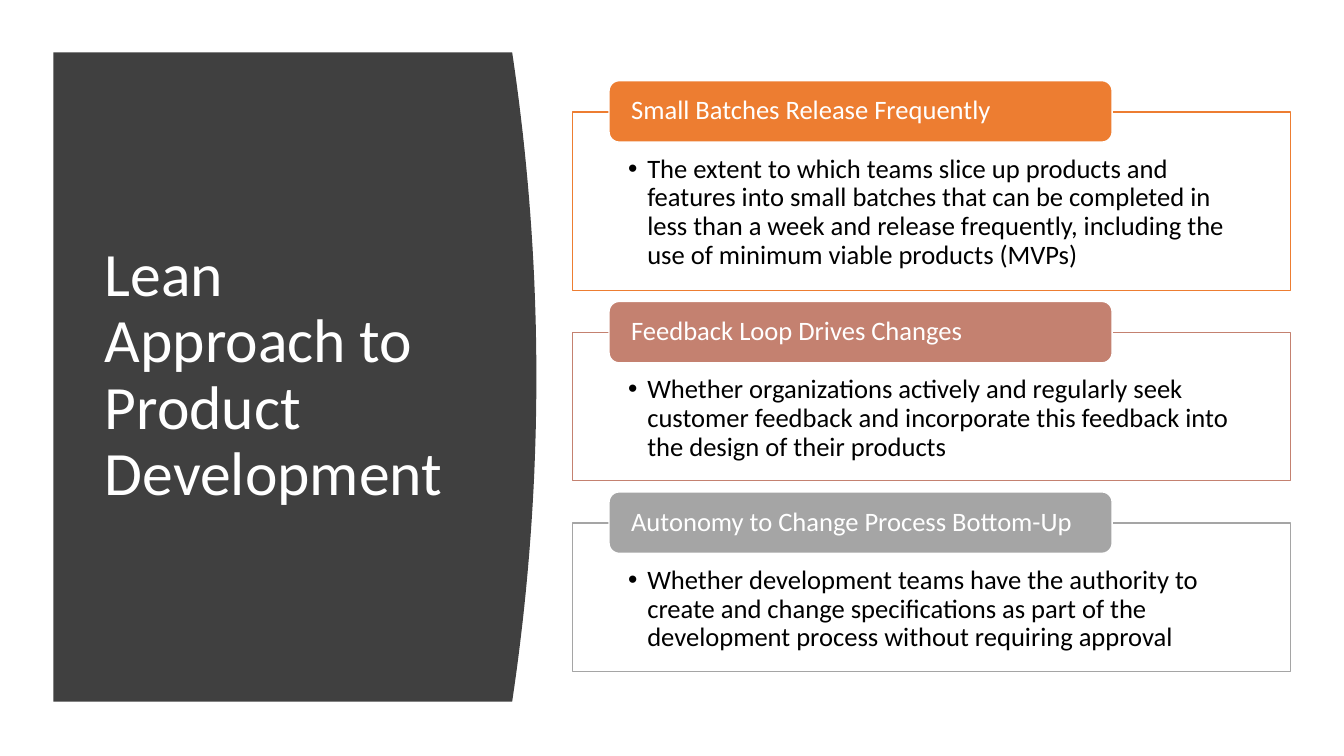
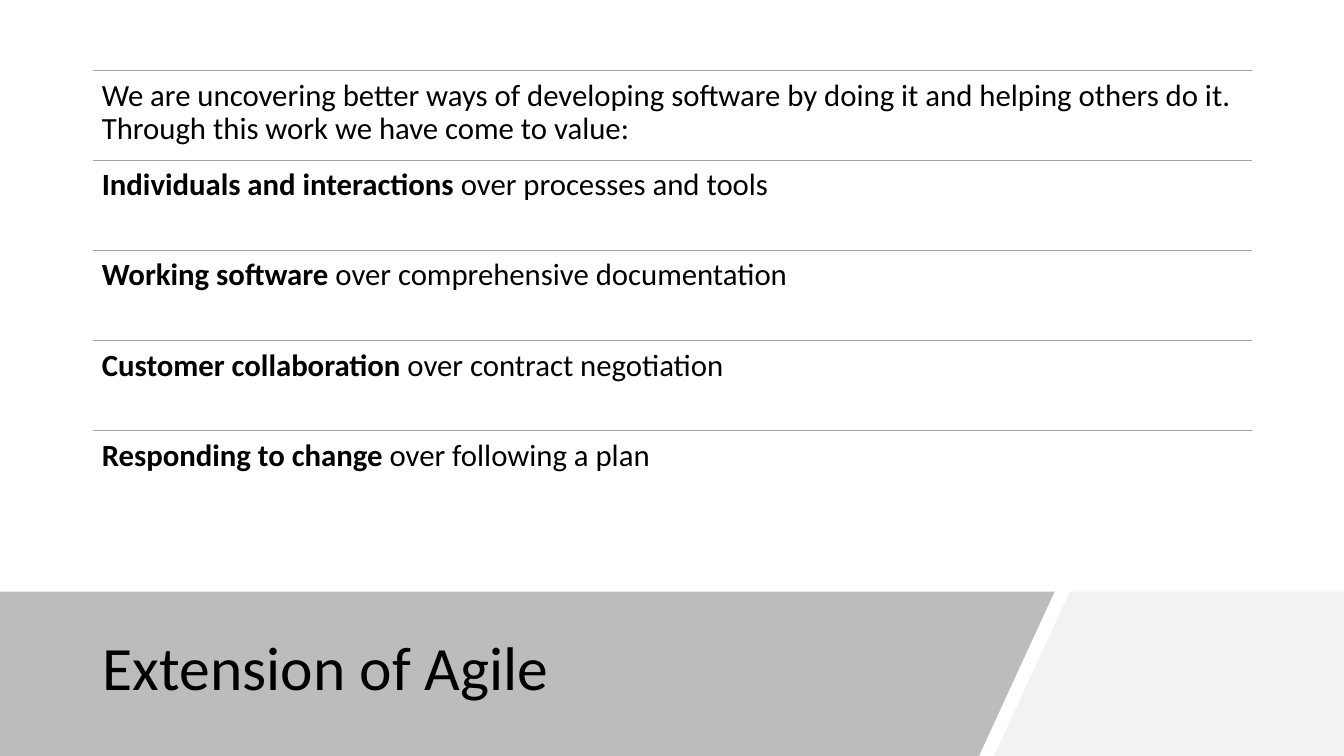
import dataclasses
import typing

import lxml.etree
import pptx
import pptx.dml.color
import pptx.enum.shapes
import pptx.enum.text
import pptx.oxml.ns
import pptx.util

EMU_PER_PX = 9144  # 100 px to the inch
SLIDE_WIDTH, SLIDE_HEIGHT = 1333, 750
TITLE_ONLY_LAYOUT = 5


@dataclasses.dataclass(frozen=True)
class Theme:
    font: str = "Calibri"
    white: str = "FFFFFF"
    black: str = "000000"
    charcoal: str = "404040"
    band: str = "595959"
    pale: str = "F2F2F2"
    orange: str = "ED7D31"
    rose: str = "C48170"
    gray: str = "A5A5A5"
    title_size: int = 44
    card_size: int = 19
    row_size: int = 22
    card_line: float = 1
    row_line: float = 0.5
    line_spacing: float = 0.9


THEME = Theme()


class Box(typing.NamedTuple):
    left: int
    top: int
    width: int
    height: int


class Insets(typing.NamedTuple):
    left: int
    top: int
    right: int
    bottom: int


class Run(typing.NamedTuple):
    text: str
    bold: bool = False


class Card(typing.NamedTuple):
    label: str
    body: str
    color: str
    height: int


CARDS = (
    Card(
        "Small Batches Release Frequently",
        "The extent to which teams slice up products and features into small batches "
        "that can be completed in less than a week and release frequently, including "
        "the use of minimum viable products (MVPs)",
        THEME.orange,
        177,
    ),
    Card(
        "Feedback Loop Drives Changes",
        "Whether organizations actively and regularly seek customer feedback and "
        "incorporate this feedback into the design of their products",
        THEME.rose,
        147,
    ),
    Card(
        "Autonomy to Change Process Bottom-Up",
        "Whether development teams have the authority to create and change "
        "specifications as part of the development process without requiring approval",
        THEME.gray,
        147,
    ),
)

VALUE_ROWS = (
    (Run("We are uncovering better ways of developing software by doing it and helping "
         "others do it. Through this work we have come to value:"),),
    (Run("Individuals and interactions ", True), Run("over processes and tools")),
    (Run("Working software ", True), Run("over comprehensive documentation")),
    (Run("Customer collaboration", True), Run(" over contract negotiation")),
    (Run("Responding to change ", True), Run("over following a plan")),
)


def px(length: float) -> pptx.util.Emu:
    return pptx.util.Emu(round(length * EMU_PER_PX))


def rgb(color: str) -> pptx.dml.color.RGBColor:
    return pptx.dml.color.RGBColor.from_string(color)


def add_child(parent, tag: str, **attributes: str):
    child = lxml.etree.SubElement(parent, pptx.oxml.ns.qn(tag))
    for name, value in attributes.items():
        child.set(name, value)
    return child


def write_text(
    shape,
    runs: typing.Sequence[Run],
    *,
    size: int,
    color: str,
    insets: Insets = Insets(10, 5, 10, 5),
    middle: bool = False,
    bullet_indent: int = 0,
) -> None:
    """Write one left-aligned paragraph; a bullet_indent above 0 px bullets it."""
    frame = shape.text_frame
    frame.word_wrap = True
    frame.auto_size = pptx.enum.text.MSO_AUTO_SIZE.NONE
    anchors = pptx.enum.text.MSO_ANCHOR
    frame.vertical_anchor = anchors.MIDDLE if middle else anchors.TOP
    frame.margin_left, frame.margin_top, frame.margin_right, frame.margin_bottom = map(px, insets)
    paragraph = frame.paragraphs[0]
    paragraph.alignment = pptx.enum.text.PP_ALIGN.LEFT
    paragraph.line_spacing = THEME.line_spacing
    for text, bold in runs:
        run = paragraph.add_run()
        run.text = text
        run.font.name = THEME.font
        run.font.size = pptx.util.Pt(size)
        run.font.bold = bold
        run.font.color.rgb = rgb(color)
    if bullet_indent:
        properties = paragraph._p.get_or_add_pPr()
        properties.set("marL", str(px(bullet_indent)))
        properties.set("indent", str(-px(bullet_indent)))
        add_child(properties, "a:buFont", typeface="Arial")
        add_child(properties, "a:buChar", char="•")


def paint(shape, fill: str, *, line: str | None = None, opacity: int = 100) -> None:
    """Set fill and outline; opacity is the fill's, in percent."""
    shape.shadow.inherit = False
    shape.fill.solid()
    shape.fill.fore_color.rgb = rgb(fill)
    if opacity < 100:
        color = shape.fill._xPr.find(".//" + pptx.oxml.ns.qn("a:srgbClr"))
        add_child(color, "a:alpha", val=str(opacity * 1000))
    if line is None:
        shape.line.fill.background()
    else:
        shape.line.color.rgb = rgb(line)
        shape.line.width = pptx.util.Pt(THEME.card_line)


def add_outline(
    slide, points: typing.Sequence[tuple[float, float]], fill: str, opacity: int = 100
) -> None:
    """Draw a closed polygon through points given in px."""
    corners = [(px(x), px(y)) for x, y in points]
    builder = slide.shapes.build_freeform(*corners[0])
    builder.add_line_segments(corners[1:], close=True)
    paint(builder.convert_to_shape(), fill, opacity=opacity)


def place_title(slide, text: str, box: Box, color: str) -> None:
    """Fill the title placeholder and bring it in front of what is drawn so far."""
    title = slide.shapes.title
    title.left, title.top, title.width, title.height = map(px, box)
    write_text(title, [Run(text)], size=THEME.title_size, color=color, middle=True)
    title.element.getparent().append(title.element)


def add_curved_panel(slide) -> None:
    left, top, bottom, corner, bulge, steps = 53, 52, 696, 508, 24, 40
    edge = []
    for step in range(steps + 1):
        across = 2 * step / steps - 1
        edge.append((corner + bulge * (1 - across**2), top + (bottom - top) * step / steps))
    add_outline(slide, [(left, top), *edge, (left, bottom)], THEME.charcoal)


def add_card(slide, card: Card, top: int) -> None:
    shapes = pptx.enum.shapes.MSO_SHAPE
    body = slide.shapes.add_shape(
        shapes.RECTANGLE, *map(px, Box(568, top, 712, card.height))
    )
    paint(body, THEME.white, line=card.color, opacity=90)
    write_text(body, [Run(card.body)], size=THEME.card_size, color=THEME.black,
               insets=Insets(55, 43, 55, 15), bullet_indent=19)
    label = slide.shapes.add_shape(
        shapes.ROUNDED_RECTANGLE, *map(px, Box(604, top - 31, 499, 61))
    )
    paint(label, card.color, line=THEME.white)
    write_text(label, [Run(card.label)], size=THEME.card_size, color=THEME.white,
               insets=Insets(19, 0, 19, 0), middle=True)


def add_value_row(slide, runs: typing.Sequence[Run], box: Box) -> None:
    """Draw a rule along the top of the box and the text below it."""
    rule = slide.shapes.add_connector(
        pptx.enum.shapes.MSO_CONNECTOR.STRAIGHT,
        px(box.left), px(box.top), px(box.left + box.width), px(box.top),
    )
    rule.line.color.rgb = rgb(THEME.gray)
    rule.line.width = pptx.util.Pt(THEME.row_line)
    add_child(rule._element.spPr, "a:effectLst")
    text_box = slide.shapes.add_textbox(*map(px, box))
    write_text(text_box, runs, size=THEME.row_size, color=THEME.black,
               insets=Insets(9, 9, 9, 9))


def add_slide(presentation):
    return presentation.slides.add_slide(presentation.slide_layouts[TITLE_ONLY_LAYOUT])


def build_lean_slide(presentation) -> None:
    slide = add_slide(presentation)
    add_curved_panel(slide)
    place_title(slide, "Lean Approach to Product Development",
                Box(94, 111, 374, 524), THEME.white)
    top, gap = 111, 42
    for card in CARDS:
        add_card(slide, card, top)
        top += card.height + gap


def build_agile_slide(presentation) -> None:
    slide = add_slide(presentation)
    band_top = 587
    add_outline(
        slide,
        [(1061, band_top), (SLIDE_WIDTH, band_top),
         (SLIDE_WIDTH, SLIDE_HEIGHT), (986, SLIDE_HEIGHT)],
        THEME.pale,
    )
    add_outline(
        slide,
        [(0, band_top), (1046, band_top), (971, SLIDE_HEIGHT), (0, SLIDE_HEIGHT)],
        THEME.band,
        opacity=40,
    )
    place_title(slide, "Extension of Agile", Box(92, 605, 883, 120), THEME.black)
    area = Box(92, 70, 1150, 447)
    for index, runs in enumerate(VALUE_ROWS):
        offset = area.height * index // len(VALUE_ROWS)
        row = Box(area.left, area.top + offset, area.width, area.height // len(VALUE_ROWS))
        add_value_row(slide, runs, row)


def main() -> None:
    presentation = pptx.Presentation()
    presentation.slide_width = px(SLIDE_WIDTH)
    presentation.slide_height = px(SLIDE_HEIGHT)
    build_lean_slide(presentation)
    build_agile_slide(presentation)
    presentation.save("out.pptx")


if __name__ == "__main__":
    main()
